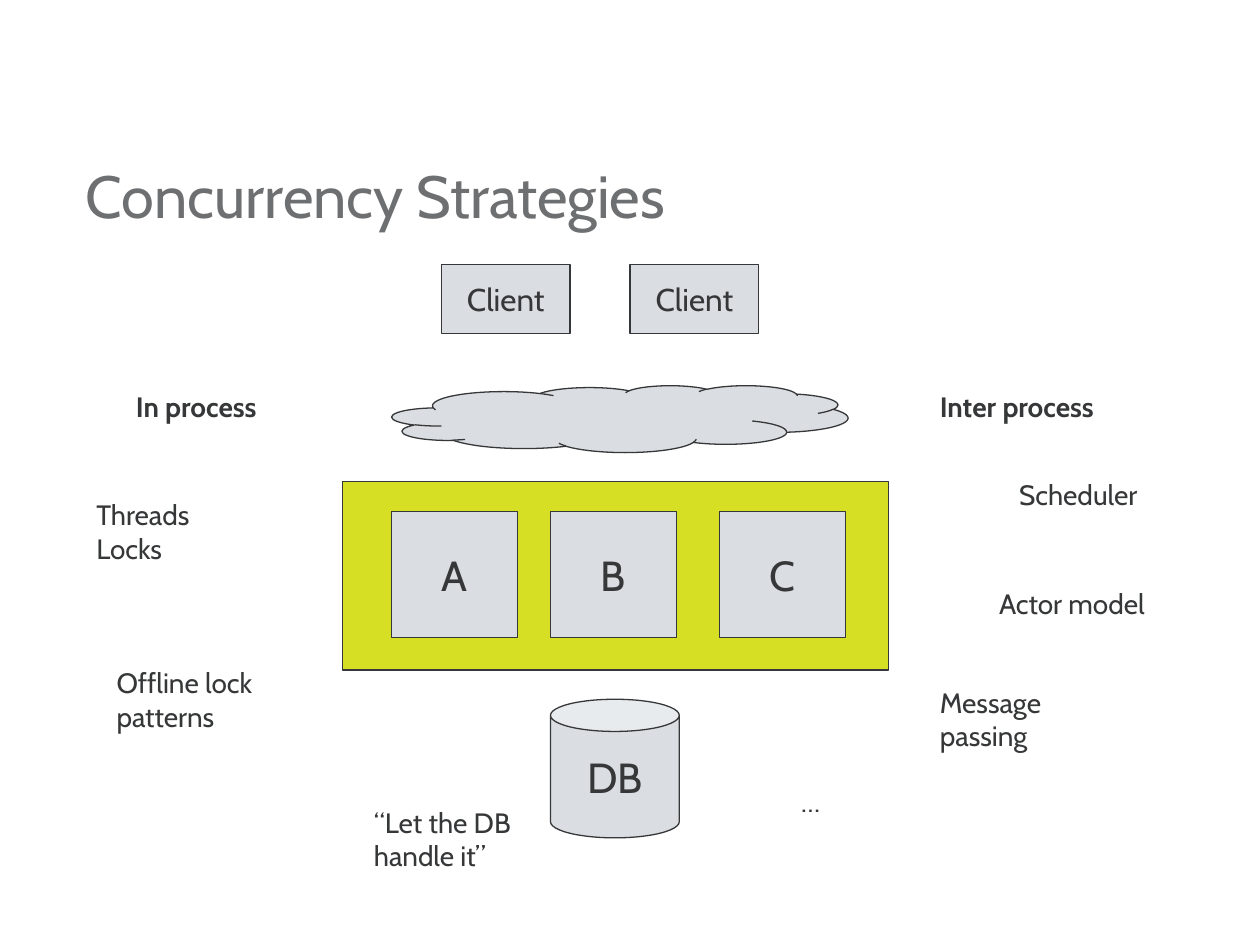
from dataclasses import dataclass
from typing import Any

from pptx import Presentation
from pptx.dml.color import RGBColor
from pptx.enum.shapes import MSO_SHAPE as Shape
from pptx.enum.text import MSO_ANCHOR as Anchor, MSO_AUTO_SIZE as AutoSize, PP_ALIGN as Align
from pptx.util import Pt


def color(hex_code):
    return RGBColor.from_string(hex_code)


@dataclass
class Sketch:
    """Draws styled diagram parts on one slide, measured in points."""

    slide: Any
    font: str = "Cabin"
    ink: str = "363738"
    gray: str = "DADEE2"
    lime: str = "D6DF23"
    title_ink: str = "6D6F71"

    def set_text(self, frame, text, size, ink, bold=False):
        frame.word_wrap = True
        paragraph = frame.paragraphs[0]
        paragraph.text = text
        font = paragraph.font
        font.name, font.size, font.bold = self.font, Pt(size), bold
        font.color.rgb = color(ink)
        return paragraph

    def block(self, kind, left, top, width, height, text="", size=24, fill=None):
        part = self.slide.shapes.add_shape(kind, Pt(left), Pt(top), Pt(width), Pt(height))
        part.shadow.inherit = False
        part.fill.solid()
        part.fill.fore_color.rgb = color(fill or self.gray)
        part.line.color.rgb = color(self.ink)
        part.line.width = Pt(0.75)
        if text:
            part.text_frame.vertical_anchor = Anchor.MIDDLE
            self.set_text(part.text_frame, text, size, self.ink).alignment = Align.CENTER

    def label(self, text, left, top, width, height=26.6, bold=False):
        box = self.slide.shapes.add_textbox(Pt(left), Pt(top), Pt(width), Pt(height))
        self.set_text(box.text_frame, text, 16, self.ink, bold)
        box.text_frame.auto_size = AutoSize.SHAPE_TO_FIT_TEXT

    def title(self, text, left, top, width, height):
        box = self.slide.shapes.add_textbox(Pt(left), Pt(top), Pt(width), Pt(height))
        box.text_frame.vertical_anchor = Anchor.MIDDLE
        self.set_text(box.text_frame, text, 34, self.title_ink)


def main():
    deck = Presentation()
    deck.slide_width, deck.slide_height = Pt(720), Pt(540)
    sketch = Sketch(deck.slides.add_slide(deck.slide_layouts[6]))

    sketch.title("Concurrency Strategies", 42, 84, 504, 54)
    sketch.block(Shape.RECTANGLE, 195.8, 275, 312, 108, fill=sketch.lime)
    sketch.block(Shape.CLOUD, 224, 220.3, 260.6, 38.2)
    sketch.block(Shape.CAN, 314.6, 399.6, 73.6, 79.2, "DB")
    for process, left in (("A", 223.9), ("B", 314.6), ("C", 411.1)):
        sketch.block(Shape.RECTANGLE, left, 292.2, 72, 72, process)
    for client_left in (252.2, 360):
        sketch.block(Shape.RECTANGLE, client_left, 151, 73.6, 39.6, "Client", 18)

    for heading, left, width in (("In process", 70.6, 113), ("Inter process", 530, 124.6)):
        sketch.label(heading, left, 218.9, width, bold=True)
    for strategy, left, top, width in (
        ("Threads Locks", 48, 280.8, 90.7),
        ("Offline lock patterns", 59.5, 377, 130.3),
        ("“Let the DB handle it”", 206.6, 456.5, 130.3),
        ("Message passing", 530, 388.1, 102.2),
    ):
        sketch.label(strategy, left, top, width, 46)
    for strategy, left, top in (
        ("Actor model", 563.8, 331.9),
        ("Scheduler", 575.3, 269.3),
        ("…", 450.7, 445),
    ):
        sketch.label(strategy, left, top, 102.2)

    deck.save("out.pptx")


if __name__ == "__main__":
    main()
